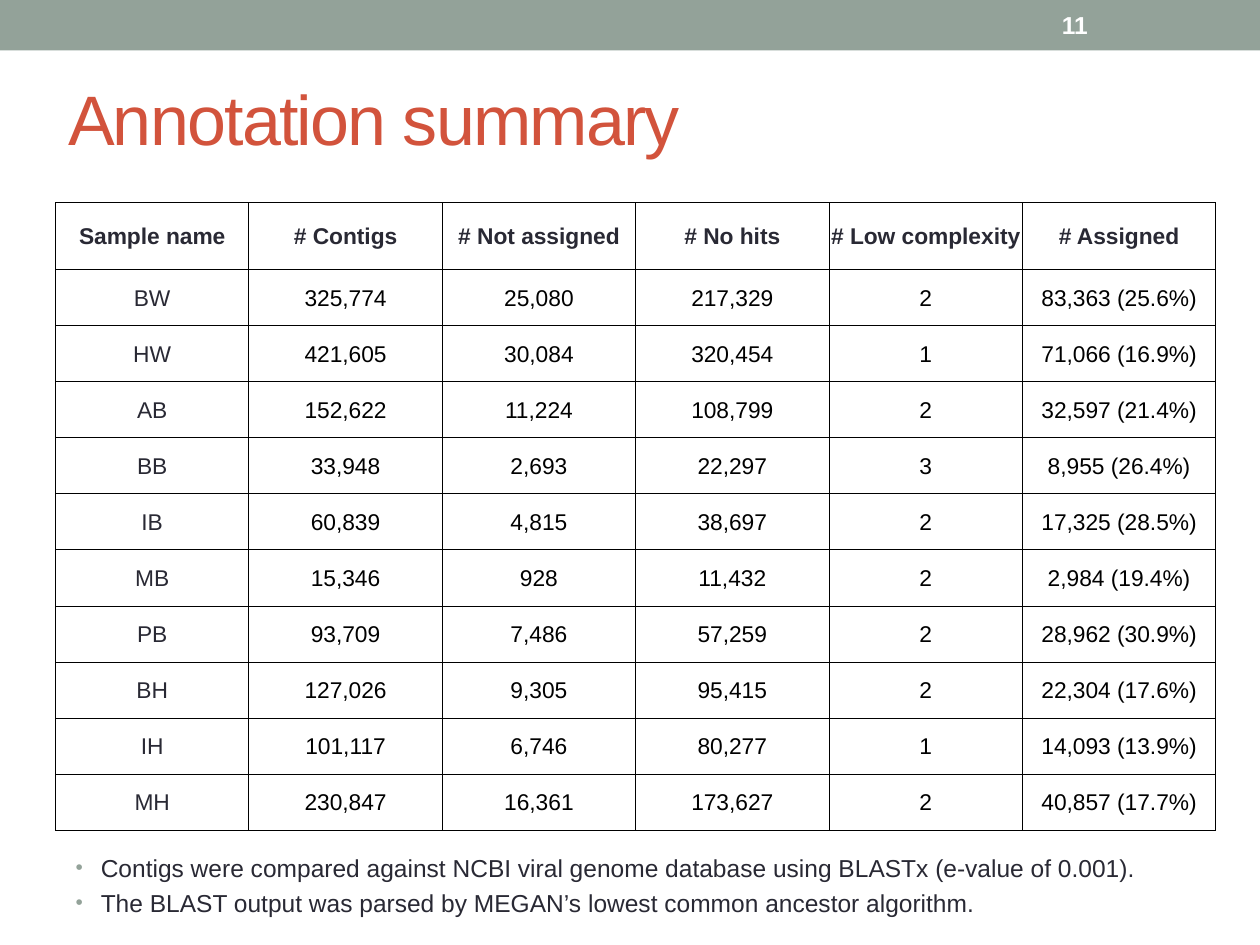
import dataclasses

import lxml.etree
import pptx
import pptx.dml.color
import pptx.enum.shapes
import pptx.enum.text
import pptx.oxml.ns
import pptx.util

Inches = pptx.util.Inches
Pt = pptx.util.Pt
qn = pptx.oxml.ns.qn
Align = pptx.enum.text.PP_ALIGN
Anchor = pptx.enum.text.MSO_ANCHOR


@dataclasses.dataclass(frozen=True)
class Theme:
    font: str = "Arial"
    band: str = "93A299"
    title: str = "D2533C"
    text: str = "292934"
    figure: str = "000000"
    paper: str = "FFFFFF"
    title_size: float = 40
    body_size: float = 14
    table_size: float = 13
    border_width: float = 0.5


HEADERS = ["Sample name", "# Contigs", "# Not assigned", "# No hits",
           "# Low complexity", "# Assigned"]
SAMPLES = [
    ["BW", "325,774", "25,080", "217,329", "2", "83,363 (25.6%)"],
    ["HW", "421,605", "30,084", "320,454", "1", "71,066 (16.9%)"],
    ["AB", "152,622", "11,224", "108,799", "2", "32,597 (21.4%)"],
    ["BB", "33,948", "2,693", "22,297", "3", "8,955 (26.4%)"],
    ["IB", "60,839", "4,815", "38,697", "2", "17,325 (28.5%)"],
    ["MB", "15,346", "928", "11,432", "2", "2,984 (19.4%)"],
    ["PB", "93,709", "7,486", "57,259", "2", "28,962 (30.9%)"],
    ["BH", "127,026", "9,305", "95,415", "2", "22,304 (17.6%)"],
    ["IH", "101,117", "6,746", "80,277", "1", "14,093 (13.9%)"],
    ["MH", "230,847", "16,361", "173,627", "2", "40,857 (17.7%)"],
]
NOTES = [
    "Contigs were compared against NCBI viral genome database using BLASTx (e-value of 0.001).",
    "The BLAST output was parsed by MEGAN’s lowest common ancestor algorithm.",
]


def apply(target, values):
    for name, value in values.items():
        setattr(target, name, value)


def rgb(color):
    return pptx.dml.color.RGBColor.from_string(color)


class SlideBuilder:
    def __init__(self, slide, theme):
        self.slide = slide
        self.theme = theme

    def place(self, shape, box):
        apply(shape, dict(zip(("left", "top", "width", "height"), map(Inches, box))))

    def paint(self, target, color):
        target.fill.solid()
        target.fill.fore_color.rgb = rgb(color)

    def add_text(self, paragraph, text, size, color, bold=False, align=Align.LEFT):
        paragraph.alignment = align
        run = paragraph.add_run()
        run.text = text
        apply(run.font, {"name": self.theme.font, "size": Pt(size), "bold": bold})
        run.font.color.rgb = rgb(color)
        return run

    def band(self, box):
        shape = self.slide.shapes.add_shape(
            pptx.enum.shapes.MSO_SHAPE.RECTANGLE, *map(Inches, box))
        shape.shadow.inherit = False
        self.paint(shape, self.theme.band)
        shape.line.fill.background()

    def title(self, text, box):
        shape = self.slide.shapes.title
        self.place(shape, box)
        apply(shape.text_frame, {"vertical_anchor": Anchor.MIDDLE, "word_wrap": True,
                                 "auto_size": pptx.enum.text.MSO_AUTO_SIZE.NONE})
        run = self.add_text(shape.text_frame.paragraphs[0], text,
                            self.theme.title_size, self.theme.title)
        run._r.get_or_add_rPr().set("spc", "-100")

    def page_number(self, text, box):
        frame = self.slide.shapes.add_textbox(*map(Inches, box)).text_frame
        apply(frame, {"vertical_anchor": Anchor.MIDDLE, "word_wrap": True})
        self.add_text(frame.paragraphs[0], text, self.theme.body_size,
                      self.theme.paper, bold=True)

    def border(self, cell):
        properties = cell._tc.get_or_add_tcPr()
        for side in ("lnL", "lnR", "lnT", "lnB"):
            line = lxml.etree.SubElement(properties, qn("a:" + side),
                                         w=str(Pt(self.theme.border_width)))
            fill = lxml.etree.SubElement(line, qn("a:solidFill"))
            lxml.etree.SubElement(fill, qn("a:srgbClr"), val=self.theme.figure)

    def table(self, rows, box, header_height):
        left, top, width, height = box
        shape = self.slide.shapes.add_table(len(rows), len(rows[0]), *map(Inches, box))
        table = shape.table
        apply(table, {"first_row": False, "horz_banding": False})
        for column in table.columns:
            column.width = Inches(width / len(rows[0]))
        row_height = (height - header_height) / (len(rows) - 1)
        inset = Inches(0.01)
        for row_index, values in enumerate(rows):
            header = row_index == 0
            table.rows[row_index].height = Inches(header_height if header else row_height)
            for column_index, value in enumerate(values):
                cell = table.cell(row_index, column_index)
                apply(cell, {"margin_left": inset, "margin_top": inset,
                             "margin_right": inset, "margin_bottom": 0,
                             "vertical_anchor": Anchor.MIDDLE})
                self.border(cell)
                self.paint(cell, self.theme.paper)
                label = header or column_index == 0
                self.add_text(cell.text_frame.paragraphs[0], value, self.theme.table_size,
                              self.theme.text if label else self.theme.figure,
                              bold=header, align=Align.CENTER)

    def bullet(self, paragraph):
        properties = paragraph._p.get_or_add_pPr()
        indent = Inches(0.2)
        properties.set("marL", str(indent))
        properties.set("indent", str(-indent))
        color = lxml.etree.SubElement(properties, qn("a:buClr"))
        lxml.etree.SubElement(color, qn("a:srgbClr"), val=self.theme.band)
        lxml.etree.SubElement(properties, qn("a:buSzPct"), val="85000")
        lxml.etree.SubElement(properties, qn("a:buFont"), typeface=self.theme.font)
        lxml.etree.SubElement(properties, qn("a:buChar"), char="•")

    def bullets(self, lines, box):
        shape = self.slide.placeholders[1]
        self.place(shape, box)
        frame = shape.text_frame
        apply(frame, {"word_wrap": True, "vertical_anchor": Anchor.TOP,
                      "auto_size": pptx.enum.text.MSO_AUTO_SIZE.NONE})
        for index, line in enumerate(lines):
            paragraph = frame.add_paragraph() if index else frame.paragraphs[0]
            self.bullet(paragraph)
            paragraph.space_before = Pt(3 if index else 0)
            self.add_text(paragraph, line, self.theme.body_size, self.theme.text)


def main():
    presentation = pptx.Presentation()
    apply(presentation, {"slide_width": Inches(10), "slide_height": Inches(7.5)})
    slide = presentation.slides.add_slide(presentation.slide_layouts[1])
    builder = SlideBuilder(slide, Theme())
    builder.band((0, 0, 10, 0.4))
    builder.title("Annotation summary", (0.44, 0.39, 9, 1.08))
    builder.page_number("11", (8.33, 0.02, 1.17, 0.36))
    builder.table([HEADERS] + SAMPLES, (0.44, 1.61, 9.21, 4.98), header_height=0.53)
    builder.bullets(NOTES, (0.5, 6.72, 9, 0.7))
    presentation.save("out.pptx")


if __name__ == "__main__":
    main()
